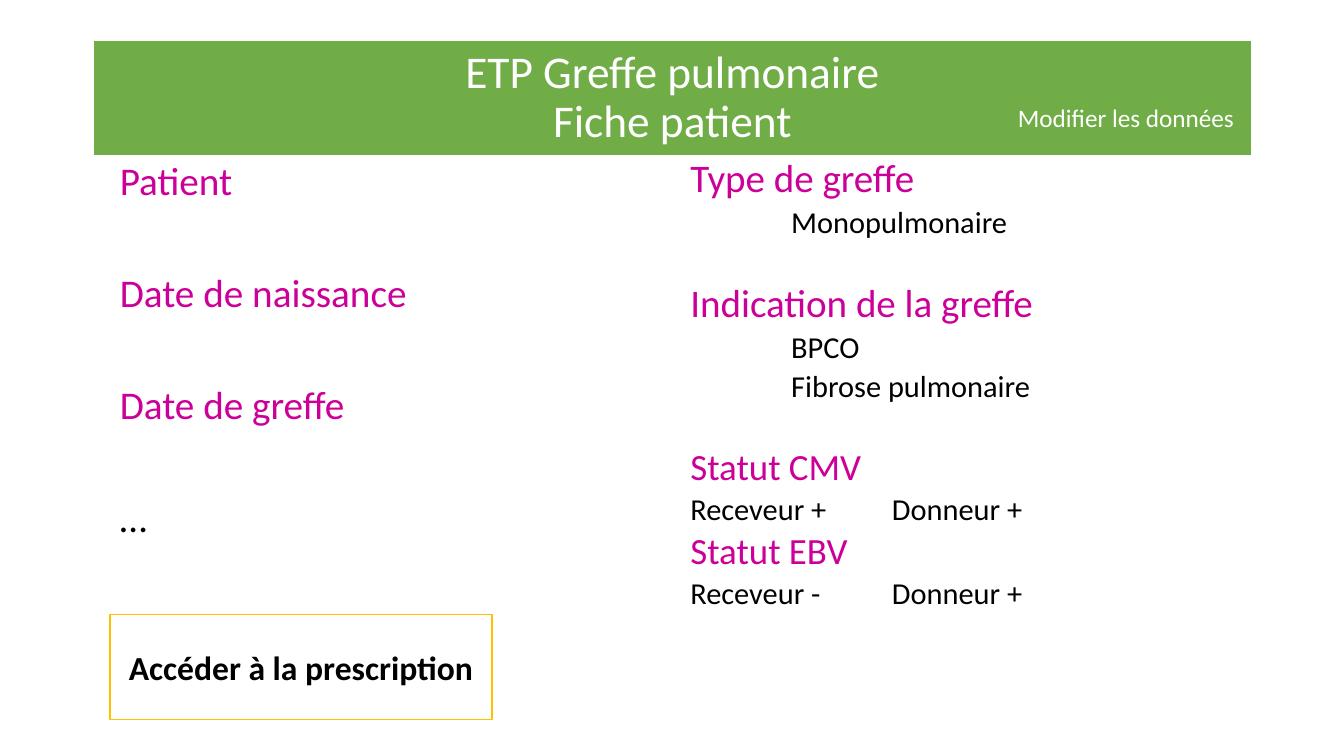
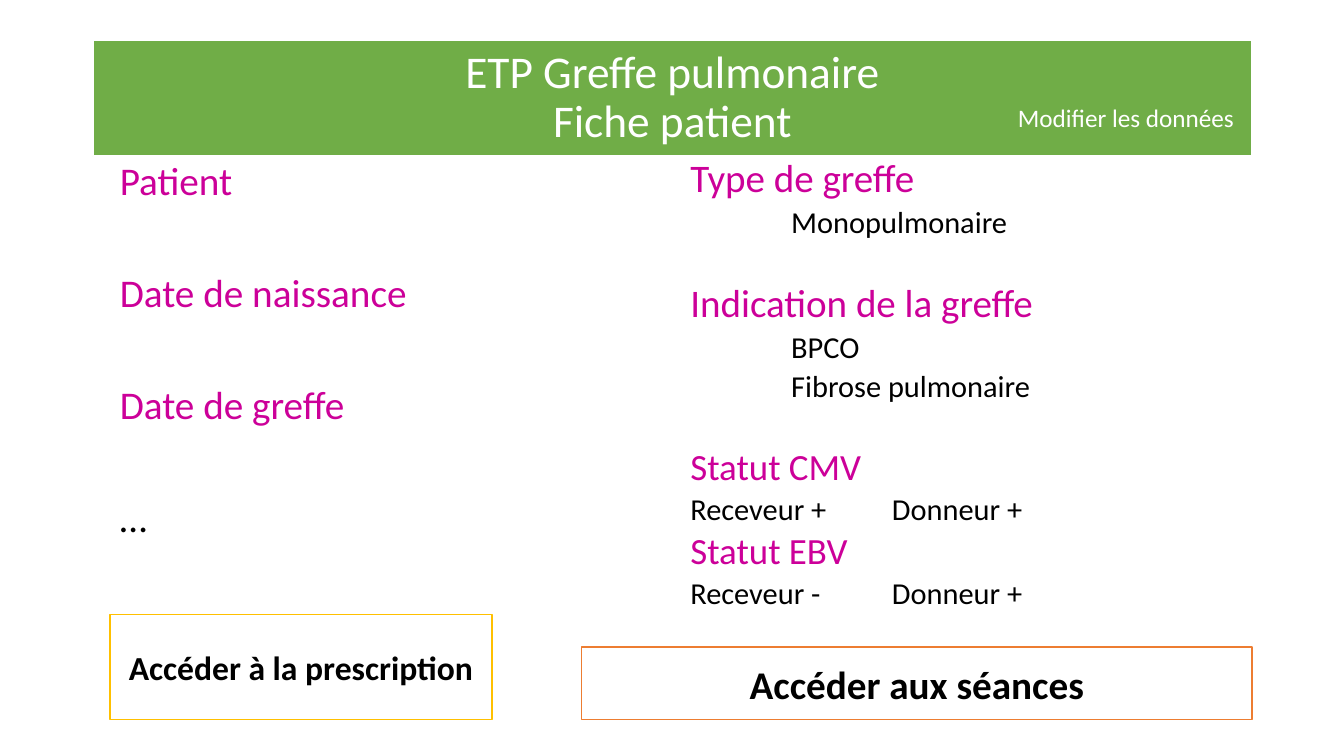
from lxml import etree
from pptx import Presentation
from pptx.dml.color import RGBColor
from pptx.enum.shapes import MSO_SHAPE
from pptx.enum.text import MSO_ANCHOR, PP_ALIGN
from pptx.oxml.ns import qn
from pptx.util import Emu, Inches, Pt

RECTANGLE = MSO_SHAPE.RECTANGLE
MIDDLE, TOP = MSO_ANCHOR.MIDDLE, MSO_ANCHOR.TOP
CENTER, LEFT = PP_ALIGN.CENTER, PP_ALIGN.LEFT

WIDTH, HEIGHT = Inches(13.333), Inches(7.5)
FONT = "Calibri"
WHITE, BLACK = "FFFFFF", "000000"
GREEN, MAGENTA, GOLD, ORANGE = "70AD47", "CC0099", "FFC000", "ED7D31"

MARGIN, CONTENT_WIDTH = 6.9, 86.25
RIGHT_EDGE = MARGIN + CONTENT_WIDTH
LEFT_COLUMN, RIGHT_COLUMN, SESSIONS_LEFT = 8.18, 50.63, 43.28
BUTTON_BOTTOM = 95.2

IDENTITY_GAP = 50
LINE_GAP, SECTION_GAP = 9.7, 38
HEADING, STATUS, DETAIL = (27.9, MAGENTA), (26.4, MAGENTA), (21.7, BLACK)

IDENTITY = [
    ("Patient", 28, MAGENTA, 10),
    ("Date de naissance", 28, MAGENTA, IDENTITY_GAP),
    ("Date de greffe", 28, MAGENTA, IDENTITY_GAP),
    ("…", 28, BLACK, IDENTITY_GAP),
]
TRANSPLANT = [
    ("Type de greffe", *HEADING, LINE_GAP),
    ("\tMonopulmonaire", *DETAIL, LINE_GAP),
    ("Indication de la greffe", *HEADING, SECTION_GAP),
    ("\tBPCO", *DETAIL, LINE_GAP),
    ("\tFibrose pulmonaire", *DETAIL, LINE_GAP),
    ("Statut CMV ", *STATUS, SECTION_GAP),
    ("Receveur +\tDonneur +", *DETAIL, LINE_GAP),
    ("Statut EBV ", *STATUS, LINE_GAP),
    ("Receveur -\tDonneur +", *DETAIL, LINE_GAP),
]


def rgb(value):
    """Turn a hex string into a colour."""
    return RGBColor.from_string(value)


def area(left, top, width, height):
    """Turn percentages of the slide into lengths."""
    return (Emu(int(WIDTH * left / 100)), Emu(int(HEIGHT * top / 100)),
            Emu(int(WIDTH * width / 100)), Emu(int(HEIGHT * height / 100)))


def add_run(paragraph, text, size, color, bold=False):
    """Add one run in the common font."""
    run = paragraph.add_run()
    run.text = text
    run.font.name, run.font.size, run.font.bold = FONT, Pt(size), bold
    run.font.color.rgb = rgb(color)


def set_tabs(paragraph, count=2):
    """Put tab stops one inch apart."""
    stops = etree.SubElement(paragraph._p.get_or_add_pPr(), qn("a:tabLst"))
    for inch in range(1, count + 1):
        etree.SubElement(stops, qn("a:tab"), pos=str(Inches(inch)), algn="l")


def add_box(slide, place, fill, outline, weight):
    """Add an outlined rectangle and return its centred paragraph."""
    box = slide.shapes.add_shape(RECTANGLE, *area(*place))
    box.shadow.inherit = False
    box.fill.solid()
    box.fill.fore_color.rgb = rgb(fill)
    box.line.color.rgb = rgb(outline)
    box.line.width = Pt(weight)
    box.text_frame.word_wrap = True
    box.text_frame.vertical_anchor = MIDDLE
    paragraph = box.text_frame.paragraphs[0]
    paragraph.alignment = CENTER
    return paragraph


def add_lines(slide, place, lines, spacing):
    """Add a text box with one paragraph for each line."""
    frame = slide.shapes.add_textbox(*area(*place)).text_frame
    frame.word_wrap = True
    frame.vertical_anchor = TOP
    for index, (text, size, color, before) in enumerate(lines):
        paragraph = frame.add_paragraph() if index else frame.paragraphs[0]
        paragraph.alignment = LEFT
        paragraph.line_spacing = spacing
        paragraph.space_before = Pt(before)
        if "\t" in text:
            set_tabs(paragraph)
        add_run(paragraph, text, size, color)


def add_banner(slide):
    """Add the green title band."""
    title = add_box(slide, (MARGIN, 5.33, CONTENT_WIDTH, 15.33), GREEN, WHITE, 1.5)
    title.line_spacing = 0.9
    add_run(title, "ETP Greffe pulmonaire", 32.4, WHITE)
    title.add_line_break()
    add_run(title, "Fiche patient", 32.4, WHITE)


def add_button(slide, label, size, outline, left, top, width):
    """Add a white button that ends on the common bottom line."""
    place = (left, top, width, BUTTON_BOTTOM - top)
    add_run(add_box(slide, place, WHITE, outline, 1), label, size, BLACK, True)


def add_patient_sheet(deck):
    """Add a slide with everything the patient sheets share."""
    slide = deck.slides.add_slide(deck.slide_layouts[6])
    add_banner(slide)
    add_lines(slide, (LEFT_COLUMN, 20.67, 26.33, 53.73), IDENTITY, 0.9)
    add_lines(slide, (RIGHT_COLUMN, 21.33, RIGHT_EDGE - RIGHT_COLUMN, 62.4),
              TRANSPLANT, 0.7)
    add_button(slide, "Accéder à la prescription", 24, GOLD,
               LEFT_COLUMN, 81.33, 28.43)
    add_lines(slide, (75, 12.93, 20.1, 5.33),
              [("Modifier les données", 18, WHITE, 0)], 1.0)
    return slide


def main():
    """Build and save both patient sheets."""
    deck = Presentation()
    deck.slide_width, deck.slide_height = WIDTH, HEIGHT
    add_patient_sheet(deck)
    sheet_with_sessions = add_patient_sheet(deck)
    add_button(sheet_with_sessions, "Accéder aux séances", 28, ORANGE,
               SESSIONS_LEFT, 85.6, RIGHT_EDGE - SESSIONS_LEFT)
    deck.save("out.pptx")


main()
